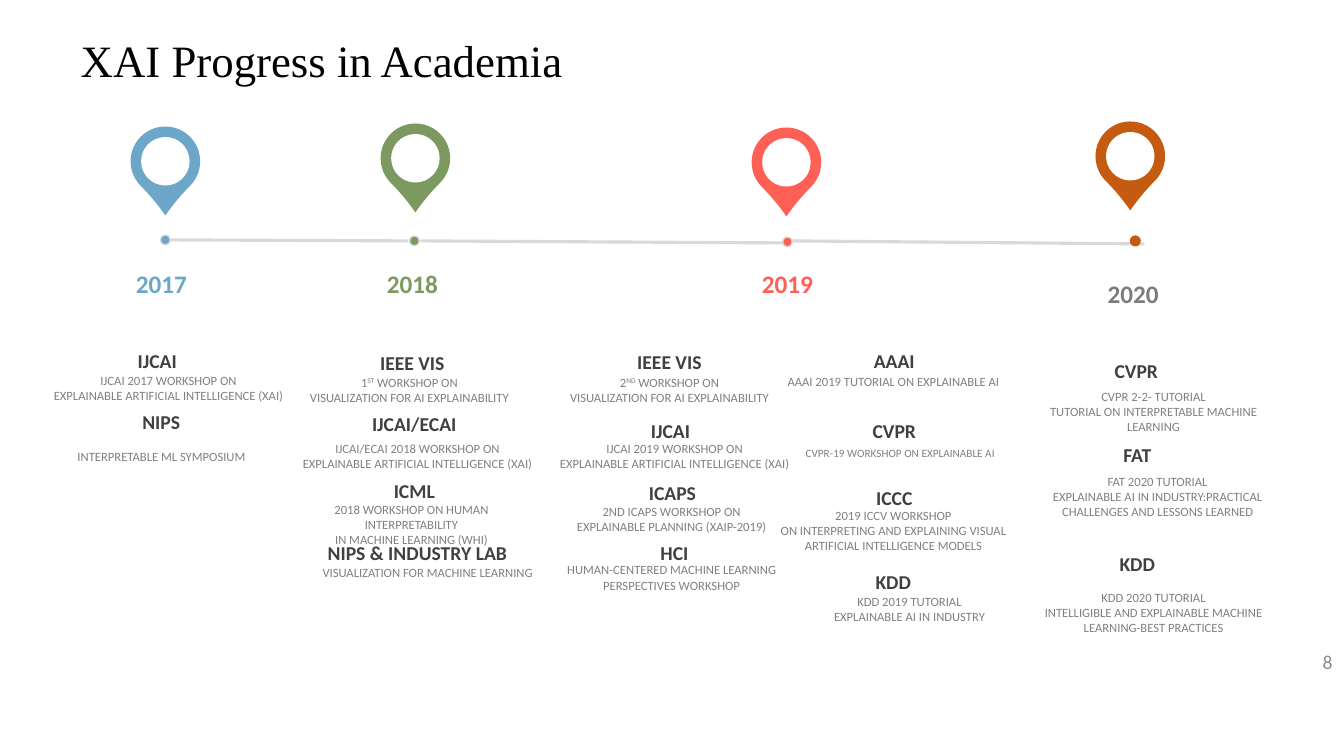
from pptx import Presentation
from pptx.dml.color import RGBColor
from pptx.enum.shapes import MSO_CONNECTOR, MSO_SHAPE
from pptx.enum.text import MSO_ANCHOR, PP_ALIGN
from pptx.oxml.ns import qn
from pptx.util import Inches, Pt
from lxml.etree import SubElement

COLORS = {
    "title": "000000", "heading": "404040", "detail": "808080", "number": "8C8C8C",
    "line": "D9D9D9", "hole": "FFFFFF", "blue": "6CA7CA", "green": "7C9A60",
    "red": "FF6056", "orange": "C55A11", "gray": "7C7C7C",
}

deck = Presentation()
deck.slide_width, deck.slide_height = Inches(13.33), Inches(7.5)
page = deck.slides.add_slide(deck.slide_layouts[5])


def add_text(lines, center, top, width, size, color, bold=False, align=PP_ALIGN.CENTER):
    """Text centred on a column; ^ switches superscript on and off."""
    height = 0.1 + len(lines) * size / 60
    box = page.shapes.add_textbox(Inches(center - width / 2), Inches(top),
                                  Inches(width), Inches(height))
    frame = box.text_frame
    frame.word_wrap = True
    for index, line in enumerate(lines):
        para = frame.paragraphs[0] if index == 0 else frame.add_paragraph()
        para.alignment = align
        for part, words in enumerate(line.split("^")):
            span = para.add_run()
            span.text = words
            span.font.name, span.font.size, span.font.bold = "Calibri", Pt(size), bold
            span.font.color.rgb = RGBColor.from_string(COLORS[color])
            if part % 2:
                span.font._element.set("baseline", "30000")


def add_mark(kind, x, y, size, color):
    """Borderless shape centred on a point."""
    mark = page.shapes.add_shape(kind, Inches(x - size / 2), Inches(y - size / 2),
                                 Inches(size), Inches(size))
    mark.shadow.inherit = False
    mark.fill.solid()
    mark.fill.fore_color.rgb = RGBColor.from_string(COLORS[color])
    mark.line.fill.background()
    return mark


# Title and page number
title = page.shapes.title
title.left, title.top, title.width, title.height = map(Inches, (0.8, 0.5, 11.74, 1.09))
frame = title.text_frame
frame.margin_left = frame.margin_right = frame.margin_top = frame.margin_bottom = 0
frame.vertical_anchor = MSO_ANCHOR.TOP
frame.text = "XAI Progress in Academia"
para = frame.paragraphs[0]
para.alignment = PP_ALIGN.LEFT
para.line_spacing = Pt(25.7)
para.font.name, para.font.size = "Times New Roman", Pt(32)
para.font.color.rgb = RGBColor.from_string(COLORS["title"])
add_text(["8"], 12.48, 6.4, 1.67, 14, "number", align=PP_ALIGN.RIGHT)

# Timeline segments
for x1, y1, x2, y2 in [(1.69, 2.38, 4.05, 2.39), (4.17, 2.39, 7.77, 2.41),
                       (7.85, 2.39, 11.35, 2.42)]:
    segment = page.shapes.add_connector(MSO_CONNECTOR.STRAIGHT, Inches(x1), Inches(y1),
                                        Inches(x2), Inches(y2))
    segment.line.color.rgb = RGBColor.from_string(COLORS["line"])
    segment.line.width = Pt(2.25)
    SubElement(segment._element.spPr, qn("a:effectLst"))

# Pins, dots and years: year, colours of pin, dot rim and year, pin x and y,
# dot x and y, year x and top
years = [
    ("2017", "blue", "line", "blue", 1.64, 1.6, 1.64, 2.38, 1.6, 2.61),
    ("2018", "green", "line", "green", 4.12, 1.57, 4.11, 2.39, 4.09, 2.61),
    ("2019", "red", "line", "red", 7.8, 1.61, 7.81, 2.4, 7.81, 2.61),
    ("2020", "orange", "orange", "gray", 11.21, 1.55, 11.26, 2.39, 11.24, 2.71),
]
for year, color, rim, ink, pin_x, pin_y, dot_x, dot_y, year_x, year_top in years:
    pin = add_mark(MSO_SHAPE.TEAR, pin_x, pin_y, 0.69, color)
    pin.adjustments[0] = 1.1
    pin.rotation = 135
    add_mark(MSO_SHAPE.OVAL, pin_x, pin_y, 0.48, "hole")
    add_mark(MSO_SHAPE.OVAL, dot_x, dot_y, 0.11, rim)
    add_mark(MSO_SHAPE.OVAL, dot_x, dot_y, 0.08, color)
    add_text([year], year_x, year_top, 1.24, 18, ink, bold=True)

# Venues: heading, its centre and top; detail lines, their centre, top and width
xai = "EXPLAINABLE ARTIFICIAL INTELLIGENCE (XAI)"
vis = "VISUALIZATION FOR AI EXPLAINABILITY"
venues = [
    # 2017
    ("IJCAI", 1.56, 3.41, ["IJCAI 2017 WORKSHOP ON", xai], 1.67, 3.65, 3.12),
    ("NIPS", 1.6, 4.02, ["INTERPRETABLE ML SYMPOSIUM"], 1.6, 4.4, 3.12),
    # 2018
    ("IEEE VIS", 4.09, 3.43, ["1^ST^ WORKSHOP ON", vis], 4.06, 3.67, 2.73),
    ("IJCAI/ECAI", 4.11, 4.04, ["IJCAI/ECAI 2018 WORKSHOP ON", xai], 4.14, 4.32, 2.56),
    ("ICML", 4.11, 4.7, ["2018 WORKSHOP ON HUMAN INTERPRETABILITY",
                         "IN MACHINE LEARNING (WHI)"], 4.08, 4.93, 2.52),
    ("NIPS & INDUSTRY LAB", 4.14, 5.32, ["VISUALIZATION FOR MACHINE LEARNING"],
     4.24, 5.55, 2.52),
    # 2019, first column
    ("IEEE VIS", 6.64, 3.42, ["2^ND^ WORKSHOP ON", vis], 6.64, 3.67, 2.73),
    ("IJCAI", 6.65, 4.11, ["IJCAI 2019 WORKSHOP ON", xai], 6.69, 4.32, 2.55),
    ("ICAPS", 6.67, 4.72, ["2ND ICAPS WORKSHOP ON",
                           "EXPLAINABLE PLANNING (XAIP-2019)"], 6.66, 4.95, 3.05),
    ("HCI", 6.69, 5.32, ["HUMAN-CENTERED MACHINE LEARNING",
                         "PERSPECTIVES WORKSHOP"], 6.66, 5.53, 2.79),
    # 2019, second column
    ("AAAI", 8.87, 3.41, ["AAAI 2019 TUTORIAL ON EXPLAINABLE AI"], 8.86, 3.66, 2.35),
    ("CVPR", 8.87, 4.11, [], 0, 0, 0),
    ("ICCC", 8.87, 4.77, ["2019 ICCV WORKSHOP", "ON INTERPRETING AND EXPLAINING VISUAL",
                          "ARTIFICIAL INTELLIGENCE MODELS"], 8.86, 4.99, 2.81),
    ("KDD", 8.86, 5.6, ["KDD 2019 TUTORIAL", "EXPLAINABLE AI IN INDUSTRY"], 9.02, 5.84, 2.81),
    # 2020
    ("CVPR", 11.27, 3.51, ["CVPR 2-2- TUTORIAL",
                           "TUTORIAL ON INTERPRETABLE MACHINE LEARNING"], 11.44, 3.81, 2.35),
    ("FAT", 11.28, 4.34, ["FAT 2020 TUTORIAL", "EXPLAINABLE AI IN INDUSTRY:PRACTICAL "
                          "CHALLENGES AND LESSONS LEARNED"], 11.48, 4.65, 2.35),
    ("KDD", 11.28, 5.43, ["KDD 2020 TUTORIAL", "INTELLIGIBLE AND EXPLAINABLE MACHINE "
                          "LEARNING-BEST PRACTICES"], 11.44, 5.8, 2.81),
]
for heading, heading_x, heading_top, details, detail_x, detail_top, width in venues:
    add_text([heading], heading_x, heading_top, 2.5, 14, "heading", bold=True)
    if details:
        add_text(details, detail_x, detail_top, width, 9, "detail")

# One-cell table under CVPR 2019
table = page.shapes.add_table(1, 1, Inches(7.8), Inches(4.38), Inches(2.26), Inches(0.22)).table
table.first_row = table.horz_banding = False
cell = table.cell(0, 0)
cell.fill.background()
for side in ("a:lnL", "a:lnR", "a:lnT", "a:lnB"):
    border = cell._tc.get_or_add_tcPr().makeelement(qn(side), {"w": "0"})
    SubElement(border, qn("a:noFill"))
    cell._tc.tcPr.insert(len(cell._tc.tcPr) - 1, border)
cell.vertical_anchor = MSO_ANCHOR.MIDDLE
cell.text = "CVPR-19 WORKSHOP ON EXPLAINABLE AI"
para = cell.text_frame.paragraphs[0]
para.alignment = PP_ALIGN.CENTER
para.font.name, para.font.size = "Calibri", Pt(8)
para.font.color.rgb = RGBColor.from_string(COLORS["detail"])

deck.save("out.pptx")
